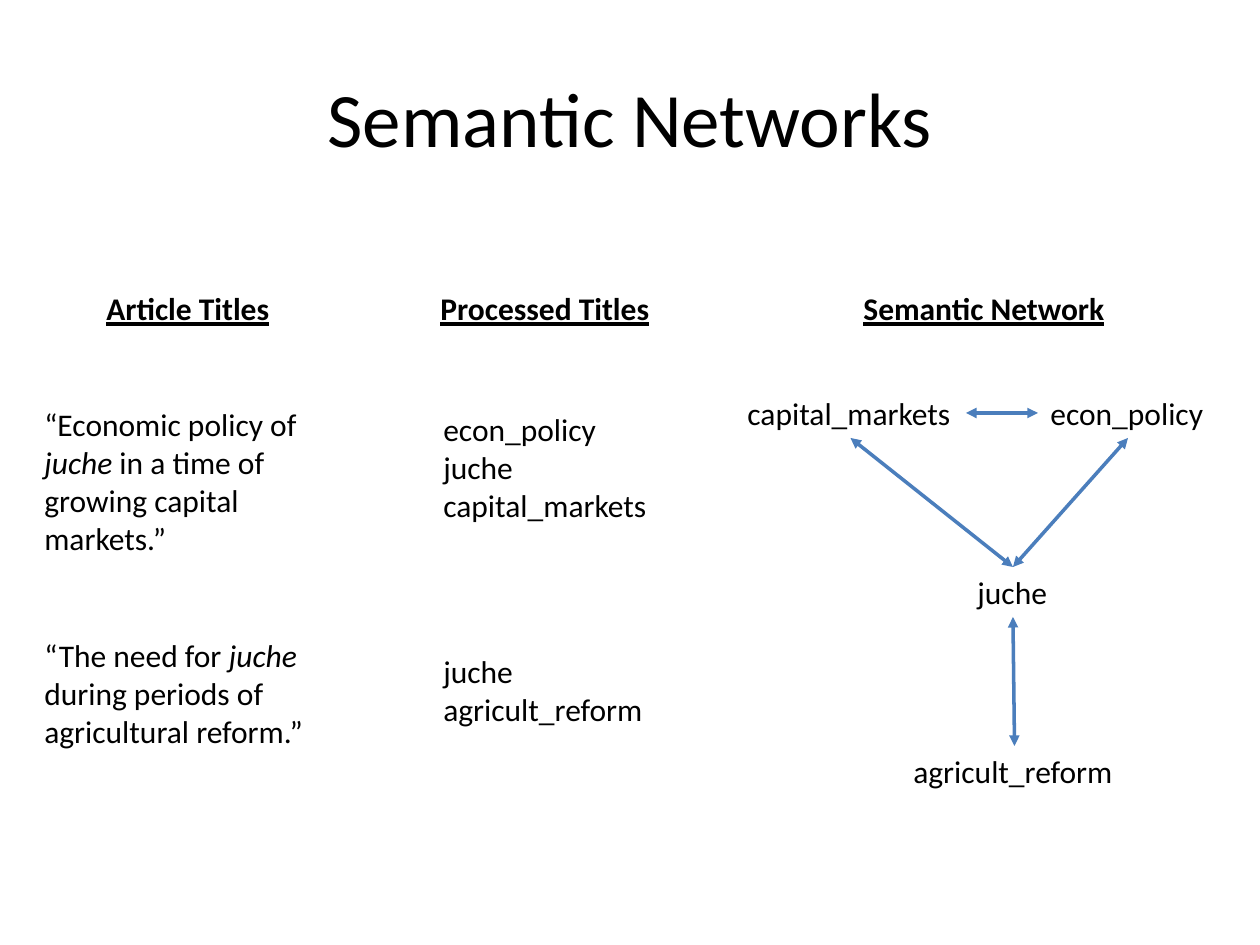
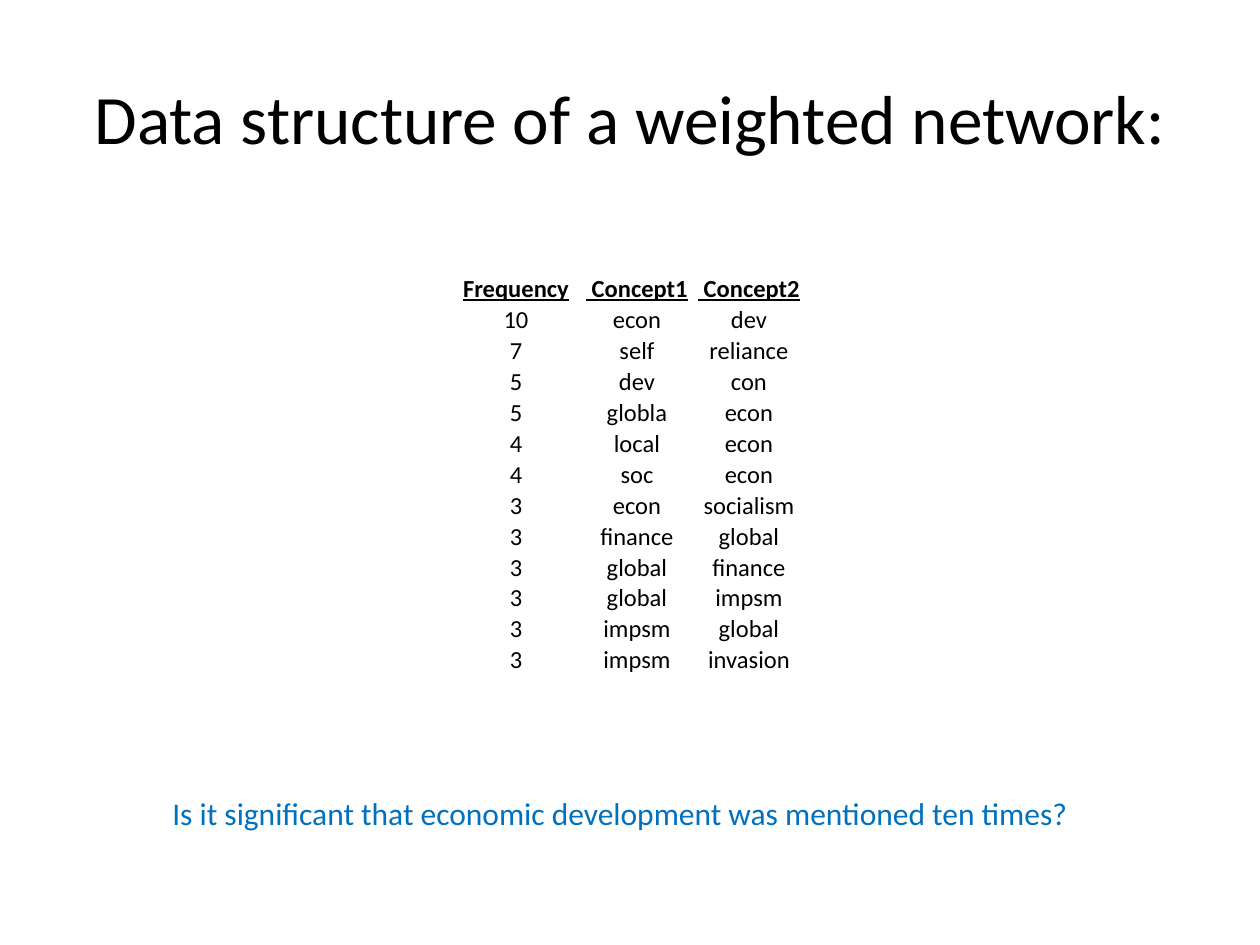
from typing import NamedTuple

from lxml.etree import SubElement
from pptx import Presentation
from pptx.dml.color import RGBColor
from pptx.enum.shapes import MSO_CONNECTOR
from pptx.enum.text import MSO_ANCHOR, MSO_AUTO_SIZE, PP_ALIGN
from pptx.oxml.ns import qn
from pptx.shapes.autoshape import Shape
from pptx.slide import Slide
from pptx.util import Emu, Pt

PX_PER_INCH = 126
FONT = "Calibri"
BLACK = RGBColor(0x00, 0x00, 0x00)
QUESTION_BLUE = RGBColor(0x00, 0x70, 0xC0)
LINK_BLUE = RGBColor(0x4B, 0x7E, 0xBC)
TITLE_ONLY = 5
LABEL_HEIGHT = 50
HEADING_TOP = 283
ITALIC_TERM = "juche"
TOP, LEFT, BOTTOM, RIGHT = range(4)  # connection sites of a text box


class Box(NamedTuple):
    left: int
    top: int
    width: int
    height: int = LABEL_HEIGHT


class Block(NamedTuple):
    box: Box
    lines: tuple[str, ...]


class Link(NamedTuple):
    start: str
    start_site: int
    end: str
    end_site: int


TITLE_BOX = Box(63, 38, 1134, 158)

HEADINGS = {
    "Article Titles": Box(94, HEADING_TOP, 189),
    "Processed Titles": Box(428, HEADING_TOP, 236),
    "Semantic Network": Box(851, HEADING_TOP, 268),
}
ARTICLES = [
    Block(Box(32, 399, 325, 165),
          ("“Economic policy of juche in a time of growing capital markets.”",)),
    Block(Box(32, 630, 325, 127),
          ("“The need for juche during periods of agricultural reform.”",)),
]
PROCESSED = [
    Block(Box(431, 404, 305, 127), ("econ_policy", "juche", "capital_markets")),
    Block(Box(431, 646, 325, 89), ("juche", "agricult_reform")),
]
CONCEPTS = {
    "econ_policy": Box(1038, 388, 180),
    "juche": Box(965, 567, 96),
    "capital_markets": Box(735, 388, 231),
    "agricult_reform": Box(901, 746, 227),
}
LINKS = [
    Link("econ_policy", BOTTOM, "juche", TOP),
    Link("juche", TOP, "capital_markets", BOTTOM),
    Link("juche", BOTTOM, "agricult_reform", TOP),
    Link("econ_policy", LEFT, "capital_markets", RIGHT),
]

TABLE_LEFT, TABLE_TOP = 451, 273
COLUMN_WIDTHS = (130, 112, 112)
ROW_HEIGHT = 31
PAIRS = [
    ("Frequency", " Concept1", " Concept2"),
    ("10", "econ", "dev"),
    ("7", "self", "reliance"),
    ("5", "dev", "con"),
    ("5", "globla", "econ"),
    ("4", "local", "econ"),
    ("4", "soc", "econ"),
    ("3", "econ", "socialism"),
    ("3", "finance", "global"),
    ("3", "global", "finance"),
    ("3", "global", "impsm"),
    ("3", "impsm", "global"),
    ("3", "impsm", "invasion"),
]
QUESTION = "Is it significant that economic development was mentioned ten times?"
QUESTION_BOX = Box(160, 788, 932)


def px(length: int) -> Emu:
    return Emu(round(length * 914400 / PX_PER_INCH))


def style(p, size: float = 18, color: RGBColor = BLACK, heading: bool = False) -> None:
    p.font.name = FONT
    p.font.size = Pt(size)
    p.font.color.rgb = color
    p.font.bold = p.font.underline = heading


def add_titled_slide(prs, title: str, size: float = 44) -> Slide:
    s = prs.slides.add_slide(prs.slide_layouts[TITLE_ONLY])
    sp = s.shapes.title
    sp.left, sp.top, sp.width, sp.height = map(px, TITLE_BOX)
    tf = sp.text_frame
    tf.text = title
    tf.auto_size = MSO_AUTO_SIZE.NONE
    tf.vertical_anchor = MSO_ANCHOR.MIDDLE
    tf.paragraphs[0].alignment = PP_ALIGN.CENTER
    style(tf.paragraphs[0], size)
    return s


def add_text(s: Slide, box: Box, *lines: str, wrap: bool = False,
             color: RGBColor = BLACK, heading: bool = False) -> Shape:
    sp = s.shapes.add_textbox(*map(px, box))
    tf = sp.text_frame
    tf.word_wrap = wrap
    tf.auto_size = MSO_AUTO_SIZE.SHAPE_TO_FIT_TEXT
    tf.text = "\n".join(lines)
    for p in tf.paragraphs:
        style(p, color=color, heading=heading)
    return sp


def add_article(s: Slide, article: Block) -> None:
    """Add a quoted article title with its key term in italics."""
    p = add_text(s, article.box, "", wrap=True).text_frame.paragraphs[0]
    for part in article.lines[0].partition(ITALIC_TERM):
        r = p.add_run()
        r.text = part
        r.font.italic = part == ITALIC_TERM


def add_link(s: Slide, link: Link, nodes: dict[str, Shape]) -> None:
    """Join two concepts with a double-headed arrow."""
    cxn = s.shapes.add_connector(MSO_CONNECTOR.STRAIGHT, 0, 0, 0, 0)
    cxn.begin_connect(nodes[link.start], link.start_site)
    cxn.end_connect(nodes[link.end], link.end_site)
    cxn.line.color.rgb = LINK_BLUE
    cxn.line.width = Pt(2)
    ln = cxn.line._get_or_add_ln()
    for end in ("a:headEnd", "a:tailEnd"):
        SubElement(ln, qn(end), type="triangle")
    SubElement(cxn._element.spPr, qn("a:effectLst"))


def add_pair_table(s: Slide) -> None:
    frame = s.shapes.add_table(
        len(PAIRS), len(COLUMN_WIDTHS), px(TABLE_LEFT), px(TABLE_TOP),
        px(sum(COLUMN_WIDTHS)), px(ROW_HEIGHT * len(PAIRS)))
    table = frame.table
    table.first_row = table.horz_banding = False
    for column, width in zip(table.columns, COLUMN_WIDTHS):
        column.width = px(width)
    for i, (row, texts) in enumerate(zip(table.rows, PAIRS)):
        row.height = px(ROW_HEIGHT)
        for cell, text in zip(row.cells, texts):
            cell.fill.background()
            cell.vertical_anchor = MSO_ANCHOR.BOTTOM
            cell.margin_left = cell.margin_right = cell.margin_top = px(1)
            cell.margin_bottom = 0
            cell.text = text
            p = cell.text_frame.paragraphs[0]
            p.alignment = PP_ALIGN.CENTER
            style(p, 14, heading=i == 0)


def build_semantic_slide(prs) -> None:
    s = add_titled_slide(prs, "Semantic Networks")
    for text, box in HEADINGS.items():
        add_text(s, box, text, heading=True)
    for article in ARTICLES:
        add_article(s, article)
    for block in PROCESSED:
        add_text(s, block.box, *block.lines, wrap=True)
    nodes = {name: add_text(s, box, name) for name, box in CONCEPTS.items()}
    for link in LINKS:
        add_link(s, link, nodes)


def build_weighted_slide(prs) -> None:
    s = add_titled_slide(prs, "Data structure of a weighted network:", 39.6)
    add_pair_table(s)
    add_text(s, QUESTION_BOX, QUESTION, color=QUESTION_BLUE)


def main() -> None:
    prs = Presentation()
    prs.slide_width, prs.slide_height = px(1260), px(945)
    build_semantic_slide(prs)
    build_weighted_slide(prs)
    prs.save("out.pptx")


if __name__ == "__main__":
    main()
